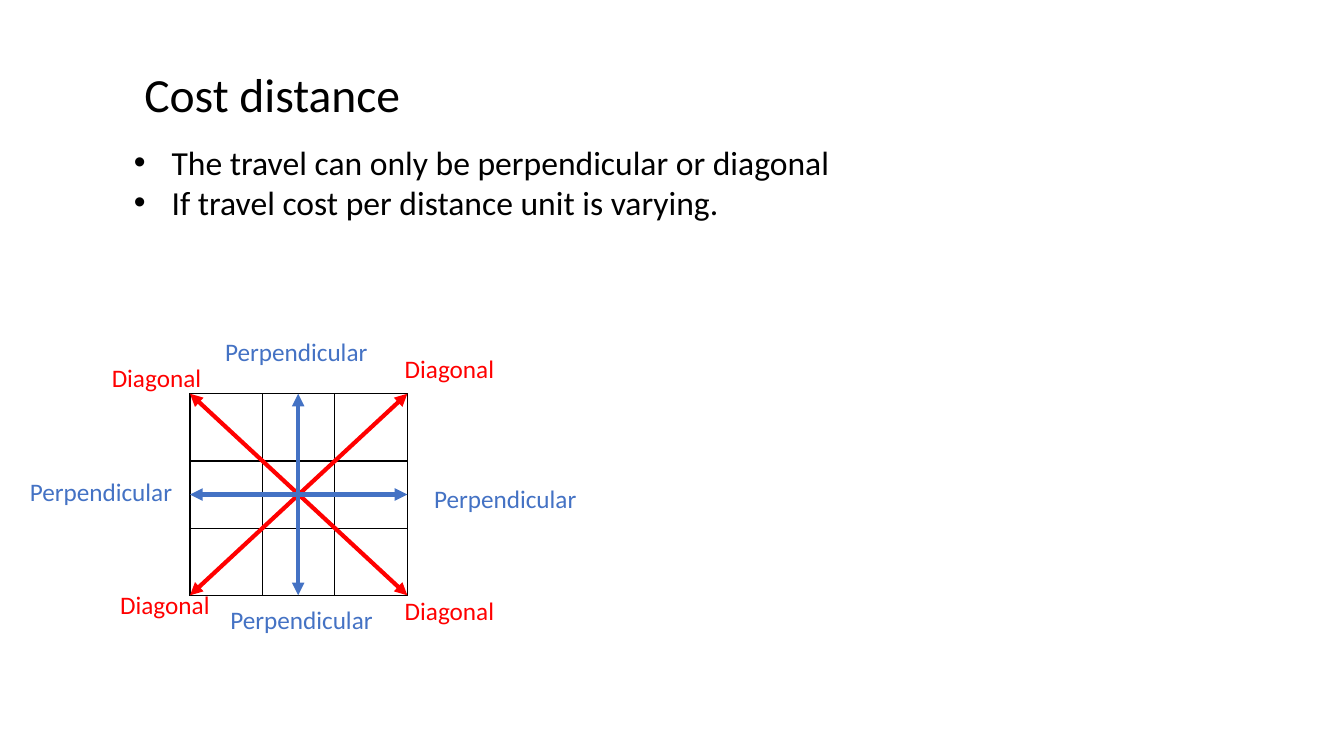
from lxml.etree import SubElement
from pptx import Presentation
from pptx.dml.color import RGBColor
from pptx.enum.shapes import MSO_CONNECTOR
from pptx.enum.text import MSO_AUTO_SIZE
from pptx.oxml.ns import qn
from pptx.util import Emu, Pt

BLACK = RGBColor(0x00, 0x00, 0x00)
RED = RGBColor(0xFF, 0x00, 0x00)
BLUE = RGBColor(0x44, 0x72, 0xC4)
FONT = "Calibri"
GRID = 3
DIAGONAL_LABELS = [(195, -43), (195, 187), (-76, 182), (-84, -35)]
PERPENDICULAR_LABELS = [(24, -59), (29, 196), (223, 81), (-162, 74)]


def px(n):
    """Turn pixels, 96 to the inch, into EMU."""
    return Emu(n * 9525)


def add_text(s, box, *lines, size=18, color=BLACK, wrap=False, bullet_indent=0):
    """Add a text box with one paragraph per line, bulleted if indented."""
    tf = s.shapes.add_textbox(*map(px, box)).text_frame
    tf.word_wrap = wrap
    tf.auto_size = MSO_AUTO_SIZE.SHAPE_TO_FIT_TEXT
    for i, line in enumerate(lines):
        p = tf.add_paragraph() if i else tf.paragraphs[0]
        if bullet_indent:
            pPr = p._p.get_or_add_pPr()
            pPr.set("marL", str(px(bullet_indent)))
            pPr.set("indent", str(px(-bullet_indent)))
            SubElement(pPr, qn("a:buFont"), typeface="Arial")
            SubElement(pPr, qn("a:buChar"), char="•")
        r = p.add_run()
        r.text = line
        r.font.name, r.font.size = FONT, Pt(size)
        r.font.color.rgb = color


def style_cell(cell):
    """Give a cell thin black borders and no fill."""
    tcPr = cell._tc.get_or_add_tcPr()
    for side in ("lnL", "lnR", "lnT", "lnB"):
        ln = SubElement(tcPr, qn(f"a:{side}"), w=str(Pt(1)))
        fill = SubElement(ln, qn("a:solidFill"))
        SubElement(fill, qn("a:srgbClr"), val=str(BLACK))
    cell.fill.background()


def add_grid(s, box):
    """Add the empty square table of cells."""
    table = s.shapes.add_table(GRID, GRID, *map(px, box)).table
    table.first_row = table.horz_banding = False
    for cell in table.iter_cells():
        style_cell(cell)


def add_arrow(s, x1, y1, x2, y2, color):
    """Add a straight line with an arrowhead at both ends."""
    arrow = s.shapes.add_connector(MSO_CONNECTOR.STRAIGHT, *map(px, (x1, y1, x2, y2)))
    arrow.line.color.rgb = color
    arrow.line.width = Pt(3)
    ln = arrow.line._get_or_add_ln()
    for end in ("headEnd", "tailEnd"):
        SubElement(ln, qn(f"a:{end}"), type="triangle")
    SubElement(arrow._element.spPr, qn("a:effectLst"))


def add_directions(s, box):
    """Draw the grid, its four travel axes and their labels."""
    x, y, w, h = box
    right, bottom, mid_x, mid_y = x + w, y + h, x + w // 2, y + h // 2
    add_grid(s, box)
    add_arrow(s, x, y, right, bottom, RED)
    add_arrow(s, right, y, x, bottom, RED)
    add_arrow(s, mid_x, y, mid_x, bottom, BLUE)
    add_arrow(s, x, mid_y, right, mid_y, BLUE)
    for label, width, color, offsets in (
        ("Diagonal", 106, RED, DIAGONAL_LABELS),
        ("Perpendicular", 156, BLUE, PERPENDICULAR_LABELS),
    ):
        for dx, dy in offsets:
            add_text(s, (x + dx, y + dy, width, 38), label, color=color)


def add_heading(s, box):
    """Add the title and the bullets below it."""
    x, y, w, h = box
    add_text(s, (x + 10, y, 265, 64), "Cost distance", size=34)
    add_text(
        s, (x, y + 73, w, h - 73),
        "The travel can only be perpendicular or diagonal",
        "If travel cost per distance unit is varying.",
        size=24, wrap=True, bullet_indent=36,
    )


def main():
    """Build and save the slide."""
    prs = Presentation()
    prs.slide_width, prs.slide_height = px(1280), px(720)
    s = prs.slides.add_slide(prs.slide_layouts[6])
    add_heading(s, (118, 57, 978, 160))
    add_directions(s, (181, 375, 207, 192))
    prs.save("out.pptx")


if __name__ == "__main__":
    main()
